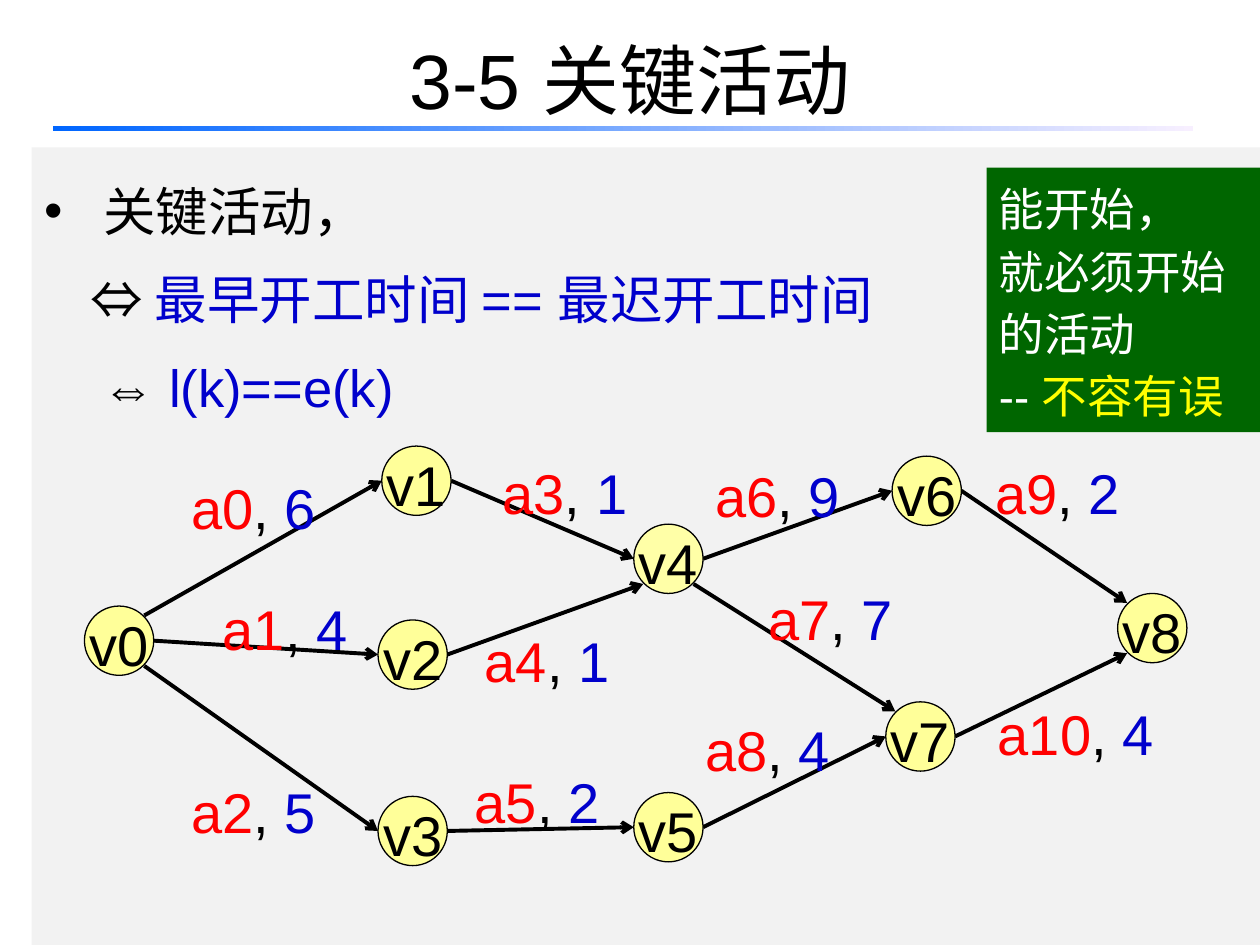
import dataclasses

import lxml.etree
import pptx
import pptx.dml.color
import pptx.enum.shapes
import pptx.enum.text
import pptx.oxml.ns
import pptx.util

Inches = pptx.util.Inches
Align = pptx.enum.text.PP_ALIGN
Anchor = pptx.enum.text.MSO_ANCHOR
Shape = pptx.enum.shapes.MSO_SHAPE


@dataclasses.dataclass(frozen=True)
class Theme:
    font: str = "Arial"
    black: str = "000000"
    white: str = "FFFFFF"
    blue: str = "0000CC"
    red: str = "FF0000"
    yellow: str = "FFFF00"
    green: str = "006600"
    panel: str = "F2F2F2"
    node: str = "FFFF99"
    hub: str = "FFFFA7"
    fade: tuple = ("0066FF", "F7EFFF")
    title: int = 44
    body: int = 30
    note: int = 26
    label: int = 32


THEME = Theme()
SIZE = 0.55
HALF = SIZE / 2
SLANT = 0.2
PORTS = {
    "E": (HALF, 0), "W": (-HALF, 0),
    "NE": (SLANT, -SLANT), "NW": (-SLANT, -SLANT),
    "SE": (SLANT, SLANT), "SW": (-SLANT, SLANT),
}
NODES = {
    "v0": (0.67, 4.81), "v1": (3.03, 3.54), "v2": (3, 4.92),
    "v3": (3, 6.32), "v4": (5.03, 4.16), "v5": (5.03, 6.29),
    "v6": (7.08, 3.62), "v7": (7.03, 5.57), "v8": (8.87, 4.71),
}
EDGES = [
    ("v0", "NE", "v1", "W", 6, 1.42, 3.58),
    ("v0", "E", "v2", "W", 4, 1.67, 4.54),
    ("v0", "SE", "v3", "W", 5, 1.42, 5.99),
    ("v1", "E", "v4", "W", 1, 3.89, 3.46),
    ("v2", "E", "v4", "SW", 1, 3.75, 4.79),
    ("v3", "E", "v5", "W", 2, 3.67, 5.91),
    ("v4", "E", "v6", "W", 9, 5.58, 3.48),
    ("v4", "SE", "v7", "NW", 7, 6, 4.46),
    ("v5", "E", "v7", "W", 4, 5.5, 5.5),
    ("v6", "E", "v8", "NW", 2, 7.8, 3.46),
    ("v7", "E", "v8", "SW", 4, 7.82, 5.37),
]


def rgb(code):
    return pptx.dml.color.RGBColor.from_string(code)


def add(parent, tag, **attrs):
    return lxml.etree.SubElement(parent, pptx.oxml.ns.qn(tag), **attrs)


def write(para, text, size, color=THEME.black):
    run = para.add_run()
    run.text = text
    run.font.name = THEME.font
    run.font.size = pptx.util.Pt(size)
    run.font.color.rgb = rgb(color)


def fill(frame, lines, size, align=Align.LEFT, space=1.0):
    for index, parts in enumerate(lines):
        para = frame.paragraphs[0] if index == 0 else frame.add_paragraph()
        para.alignment = align
        para.line_spacing = space
        para.space_before = pptx.util.Pt(0)
        for text, color in parts:
            write(para, text, size=size, color=color)


class Page:
    """Draws styled elements on the current slide."""

    def __init__(self, slide, theme):
        self.slide = slide
        self.theme = theme

    def place(self, item, left, top, width, height):
        item.left, item.top = Inches(left), Inches(top)
        item.width, item.height = Inches(width), Inches(height)

    def title(self, text, *box):
        item = self.slide.shapes.title
        self.place(item, *box)
        item.text_frame.vertical_anchor = Anchor.MIDDLE
        fill(item.text_frame, [[(text, self.theme.black)]],
             self.theme.title, Align.CENTER)

    def list(self, lines, dents, *box):
        item = self.slide.placeholders[1]
        self.place(item, *box)
        item.fill.solid()
        item.fill.fore_color.rgb = rgb(self.theme.panel)
        frame = item.text_frame
        fill(frame, lines, self.theme.body, Align.JUSTIFY, 1.4)
        for index, (para, dent) in enumerate(zip(frame.paragraphs, dents)):
            props = para._p.get_or_add_pPr()
            props.set("marL", str(Inches(dent)))
            props.set("indent", str(0 if index else -Inches(dent)))
            if index:
                add(props, "a:buNone")
            else:
                add(props, "a:buFont", typeface=self.theme.font)
                add(props, "a:buChar", char="•")

    def shape(self, kind, color, *box):
        item = self.slide.shapes.add_shape(kind, *map(Inches, box))
        item.shadow.inherit = False
        item.line.fill.background()
        if color:
            item.fill.solid()
            item.fill.fore_color.rgb = rgb(color)
        return item

    def rule(self, *box):
        bar = self.shape(Shape.RECTANGLE, None, *box)
        bar.fill.gradient()
        bar.fill.gradient_angle = 0
        for stop, color in zip(bar.fill.gradient_stops, self.theme.fade):
            stop.color.rgb = rgb(color)

    def node(self, name, left, top):
        color = self.theme.hub if name == "v4" else self.theme.node
        item = self.shape(Shape.OVAL, color, left, top, SIZE, SIZE)
        item.line.color.rgb = rgb(self.theme.black)
        item.line.width = pptx.util.Pt(0.75)
        frame = item.text_frame
        frame.word_wrap = False
        frame.vertical_anchor = Anchor.MIDDLE
        fill(frame, [[(name, self.theme.black)]], self.theme.label,
             Align.CENTER, 1.1)

    def arrow(self, start, end):
        item = self.slide.shapes.add_connector(
            pptx.enum.shapes.MSO_CONNECTOR.STRAIGHT,
            *map(Inches, start + end))
        item.line.color.rgb = rgb(self.theme.black)
        item.line.width = pptx.util.Pt(2.25)
        add(item.line._get_or_add_ln(), "a:tailEnd", type="arrow")
        add(item._element.spPr, "a:effectLst")

    def label(self, name, cost, left, top):
        width = 1.2 if len(name) == 2 else 1.45
        item = self.slide.shapes.add_textbox(
            *map(Inches, (left, top, width, 0.77)))
        item.text_frame.word_wrap = False
        parts = [(name, self.theme.red), (", ", self.theme.black),
                 (str(cost), self.theme.blue)]
        fill(item.text_frame, [parts], self.theme.label, space=1.25)

    def note(self, lines, *box):
        item = self.shape(Shape.RECTANGLE, self.theme.green, *box)
        item.text_frame.word_wrap = True
        item.text_frame.vertical_anchor = Anchor.TOP
        fill(item.text_frame, lines, self.theme.note, space=1.14)


def port(name, side):
    left, top = NODES[name]
    right, down = PORTS[side]
    return left + HALF + right, top + HALF + down


def main():
    deck = pptx.Presentation()
    deck.slide_width, deck.slide_height = Inches(10), Inches(7.5)
    page = Page(deck.slides.add_slide(deck.slide_layouts[1]), THEME)
    page.title("3-5 关键活动", 0.5, 0, 9, 1.25)
    page.rule(0.42, 1, 9.05, 0.04)
    page.list([
        [("关键活动，", THEME.black)],
        [("⇔ ", THEME.black), ("最早开工时间 == 最迟开工时间", THEME.blue)],
        [("⇔ ", THEME.black), ("l(k)==e(k)", THEME.blue)],
    ], (0.47, 0.37, 0.46), 0.25, 1.17, 9.75, 6.33)
    for source, out, target, into, *_ in EDGES:
        page.arrow(port(source, out), port(target, into))
    for name, spot in NODES.items():
        page.node(name, *spot)
    for index, (*_, cost, left, top) in enumerate(EDGES):
        page.label(f"a{index}", cost, left, top)
    page.note([
        [("能开始，", THEME.white)],
        [("就必须开始", THEME.white)],
        [("的活动", THEME.white)],
        [("-- ", THEME.white), ("不容有误", THEME.yellow)],
    ], 7.83, 1.33, 2.17, 2.1)
    deck.save("out.pptx")


if __name__ == "__main__":
    main()
